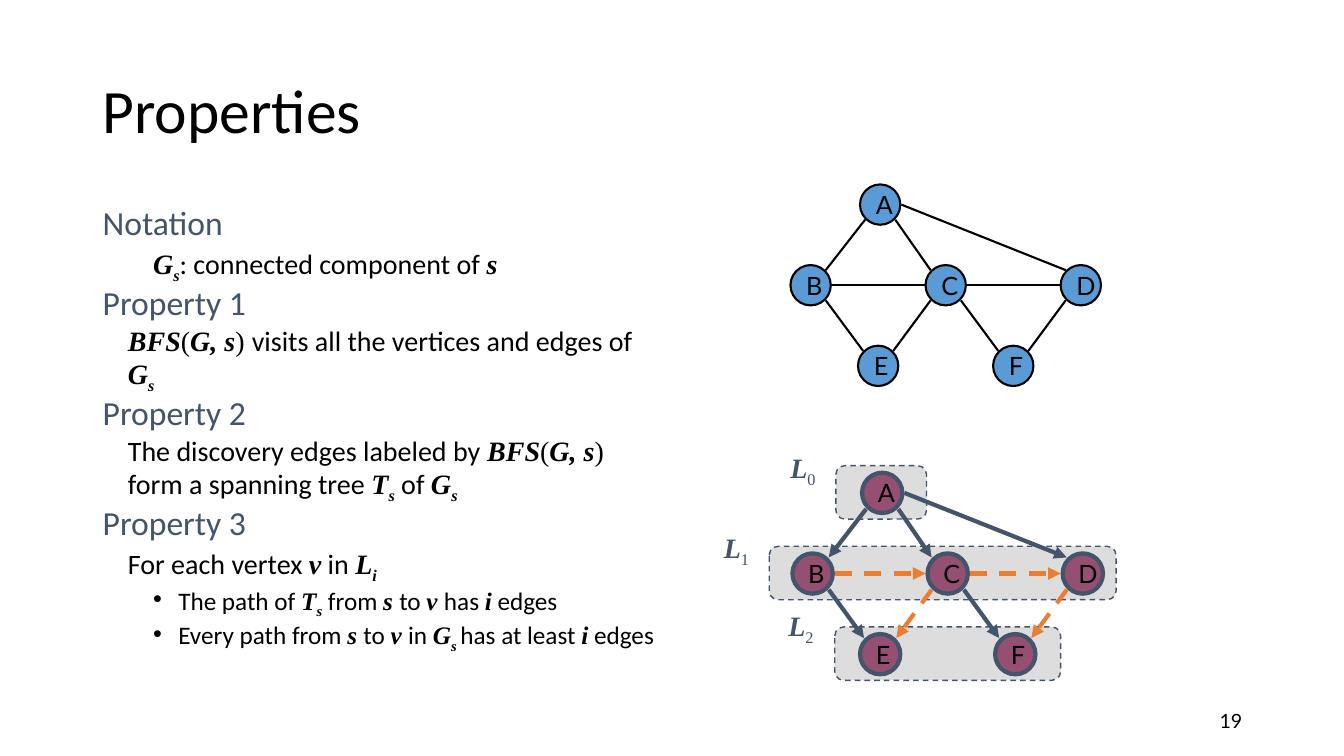
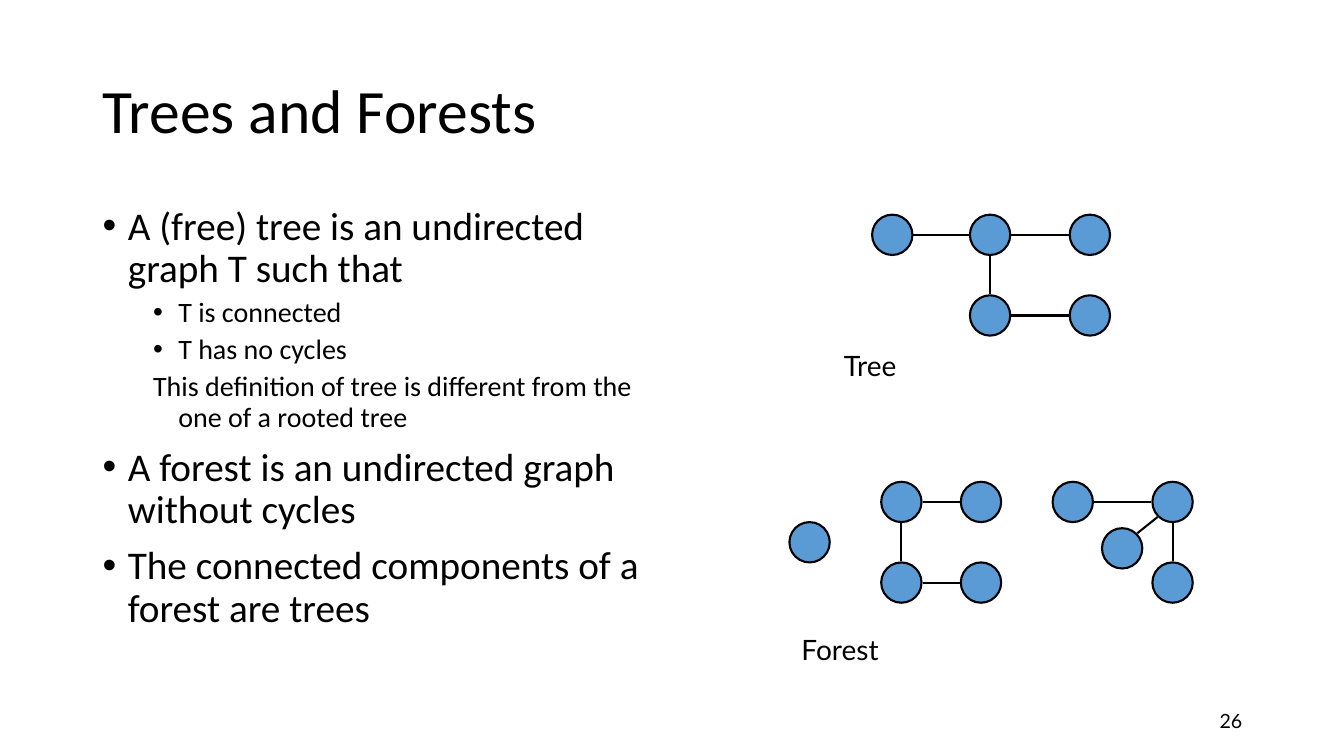
from lxml import etree
from pptx import Presentation
from pptx.dml.color import RGBColor
from pptx.enum.dml import MSO_LINE
from pptx.enum.shapes import MSO_CONNECTOR, MSO_SHAPE
from pptx.enum.text import MSO_ANCHOR, PP_ALIGN
from pptx.oxml.ns import qn
from pptx.util import Pt

PX = 9144
BLACK = RGBColor(0x00, 0x00, 0x00)
SLATE = RGBColor(0x44, 0x54, 0x6A)
BLUE = RGBColor(0x5B, 0x9B, 0xD5)
PLUM = RGBColor(0x95, 0x4F, 0x72)
ORANGE = RGBColor(0xED, 0x7D, 0x31)
GRAY = RGBColor(0xDD, 0xDD, 0xDD)

BODY, LABEL, MATH = "Calibri", "Lato", "Times New Roman"
OVAL, ROUND = MSO_SHAPE.OVAL, MSO_SHAPE.ROUNDED_RECTANGLE
STRAIGHT, DASH = MSO_CONNECTOR.STRAIGHT, MSO_LINE.DASH
TOP, MIDDLE = MSO_ANCHOR.TOP, MSO_ANCHOR.MIDDLE
LEFT, RIGHT = PP_ALIGN.LEFT, PP_ALIGN.RIGHT

RADIUS = 20
SIDES = {"n": (0, -1), "s": (0, 1), "w": (-1, 0), "e": (1, 0),
         "nw": (-0.71, -0.71), "ne": (0.71, -0.71),
         "sw": (-0.71, 0.71), "se": (0.71, 0.71)}

GRAPH = {"A": (873, 203), "B": (804, 283), "C": (938, 283),
         "D": (1072, 283), "E": (871, 363), "F": (1005, 363)}
FOUND = ["A sw B ne", "A se C nw", "A e D nw", "B se E nw", "C se F nw"]
CROSS = ["B e C w", "C e D w", "C sw E ne", "D sw F ne"]
SHIFT = (2, 286)
LEVELS = [(829, 90, 774, 442), (763, 344, 708, 521), (828, 224, 772, 599)]

TREE = {"a": (885, 233), "b": (982, 233), "c": (1081, 233),
        "d": (982, 313), "e": (1081, 313)}
LINKS = ["a e b w", "b e c w", "b s d n", "d e e w"]
FOREST = {"a": (803, 538), "b": (894, 498), "c": (973, 498),
          "d": (894, 578), "e": (973, 578), "f": (1064, 498),
          "g": (1163, 498), "h": (1113, 544), "i": (1163, 578)}
BONDS = ["b e c w", "b s d n", "d e e w", "f e g w", "g sw h ne", "g s i n"]

HEAD = dict(size=24, color=SLATE, before=3.6)
LINE = dict(size=20, margin=25, before=3)
POINT = dict(size=18, margin=75, indent=-25, bullet=True, before=2.7)
MAIN = dict(size=28, margin=25, indent=-25, bullet=True, before=10)
SUB = dict(size=20, margin=75, indent=-25, before=5)

NOTES = [
    ("Notation", HEAD),
    ("*G_s_*: connected component of *s*", dict(LINE, margin=50)),
    ("Property 1", HEAD),
    ("*BFS*^(^*G, s*^) ^visits all the vertices and edges of *G_s_*", LINE),
    ("Property 2", HEAD),
    ("The discovery edges labeled by *BFS*^(^*G, s*^) ^"
     "form a spanning tree *T_s_* of *G_s_*", LINE),
    ("Property 3", HEAD),
    ("For each vertex *v* in *L_i_*", LINE),
    ("The path of *T_s_* from *s *to *v *has *i* edges", POINT),
    ("Every path from *s *to *v *in *G_s _*has at least *i* edges", POINT),
]
TERMS = [
    ("A (free) tree is an undirected graph T such that", MAIN),
    ("T is connected", dict(SUB, bullet=True)),
    ("T has no cycles", dict(SUB, bullet=True)),
    ("This definition of tree is different from the one of a rooted tree",
     SUB),
    ("A forest is an undirected graph without cycles", MAIN),
    ("The connected components of a forest are trees", MAIN),
]


def split(text):
    marks, part = set(), ""
    for char in text:
        if char in "*_^":
            if part:
                yield part, set(marks)
            marks ^= {char}
            part = ""
        else:
            part += char
    if part:
        yield part, marks


def write(frame, text, size=20, color=BLACK, font=BODY, align=LEFT,
          margin=0, indent=0, bullet=False, before=0, lead=None):
    para = frame.paragraphs[0]
    if para.runs:
        para = frame.add_paragraph()
        para.space_before = Pt(before)
    props = para._p.get_or_add_pPr()
    props.set("marL", str(margin * PX))
    props.set("indent", str(indent * PX))
    if bullet:
        etree.SubElement(props, qn("a:buFont")).set("typeface", "Arial")
        etree.SubElement(props, qn("a:buChar")).set("char", "•")
    else:
        etree.SubElement(props, qn("a:buNone"))
    para.alignment = align
    if lead:
        para.line_spacing = lead
    for part, marks in split(text):
        run = para.add_run()
        run.text = part
        run.font.size = Pt(size)
        run.font.color.rgb = color
        run.font.name = MATH if marks & {"*", "^"} else font
        run.font.bold = run.font.italic = "*" in marks
        if "_" in marks:
            run._r.get_or_add_rPr().set("baseline", "-25000")


def frame(slide, x, y, w, h, anchor=TOP):
    box = slide.shapes.add_textbox(x * PX, y * PX, w * PX, h * PX)
    box.text_frame.word_wrap = True
    box.text_frame.vertical_anchor = anchor
    return box.text_frame


def shape(slide, kind, x, y, w, h, fill, line, width):
    item = slide.shapes.add_shape(kind, x * PX, y * PX, w * PX, h * PX)
    item.shadow.inherit = False
    item.fill.solid()
    item.fill.fore_color.rgb = fill
    item.line.color.rgb = line
    item.line.width = Pt(width)
    return item


def node(slide, spot, label, fill, line, width):
    x, y = spot
    item = shape(slide, OVAL, x - RADIUS, y - RADIUS, 2 * RADIUS, 2 * RADIUS,
                 fill, line, width)
    if label:
        item.text_frame.word_wrap = False
        item.text_frame.vertical_anchor = MIDDLE
        write(item.text_frame, label, size=18, font=LABEL)


def edge(slide, start, end, color, width, arrow=False, dash=False):
    ends = [round(value) * PX for value in (*start, *end)]
    item = slide.shapes.add_connector(STRAIGHT, *ends)
    item.line.color.rgb = color
    item.line.width = Pt(width)
    if dash:
        item.line.dash_style = DASH
    if arrow:
        tail = etree.SubElement(item.line._get_or_add_ln(), qn("a:tailEnd"))
        tail.set("type", "triangle")
    etree.SubElement(item._element.spPr, qn("a:effectLst"))


def site(spot, side, reach):
    return [mid + reach * step for mid, step in zip(spot, SIDES[side])]


def join(slide, nodes, links, color=BLACK, width=1.5, **style):
    reach = RADIUS + round(width / 1.5)
    for link in links:
        first, out, last, into = link.split()
        edge(slide, site(nodes[first], out, reach),
             site(nodes[last], into, reach), color, width, **style)


def plot(slide, nodes, named=False, fill=BLUE, line=BLACK, width=1.5):
    for name, spot in nodes.items():
        node(slide, spot, name if named else "", fill, line, width)


def page(deck, title, items, number):
    slide = deck.slides.add_slide(deck.slide_layouts[6])
    write(frame(slide, 92, 40, 1150, 145, MIDDLE), title, size=44, lead=0.9)
    body = frame(slide, 92, 200, 567, 476)
    for text, style in items:
        write(body, text, lead=0.9, **style)
    write(frame(slide, 942, 695, 300, 40, MIDDLE), str(number),
          size=14, font=LABEL, align=RIGHT)
    return slide


def search(deck):
    slide = page(deck, "Properties", NOTES, 19)
    plot(slide, GRAPH, named=True)
    join(slide, GRAPH, FOUND + CROSS)
    for rank, (x, w, left, top) in enumerate(LEVELS):
        band = shape(slide, ROUND, x, 462 + 80 * rank, w, 53, GRAY, SLATE, 1)
        band.line.dash_style = DASH
        write(frame(slide, left, top, 51, 43), f"*L*^_{rank}_^", color=SLATE)
    moved = {name: (x + SHIFT[0], y + SHIFT[1])
             for name, (x, y) in GRAPH.items()}
    plot(slide, moved, named=True, fill=PLUM, line=SLATE, width=3)
    join(slide, moved, FOUND, SLATE, 3, arrow=True)
    join(slide, moved, CROSS, ORANGE, 3, arrow=True, dash=True)


def woods(deck):
    slide = page(deck, "Trees and Forests", TERMS, 26)
    for nodes, links in ((TREE, LINKS), (FOREST, BONDS)):
        plot(slide, nodes)
        join(slide, nodes, links)
    write(frame(slide, 827, 341, 312, 43), "Tree", font=LABEL)
    write(frame(slide, 785, 623, 399, 43), "Forest", font=LABEL)


def main():
    deck = Presentation()
    deck.slide_width, deck.slide_height = 1333 * PX, 750 * PX
    search(deck)
    woods(deck)
    deck.save("out.pptx")


if __name__ == "__main__":
    main()
